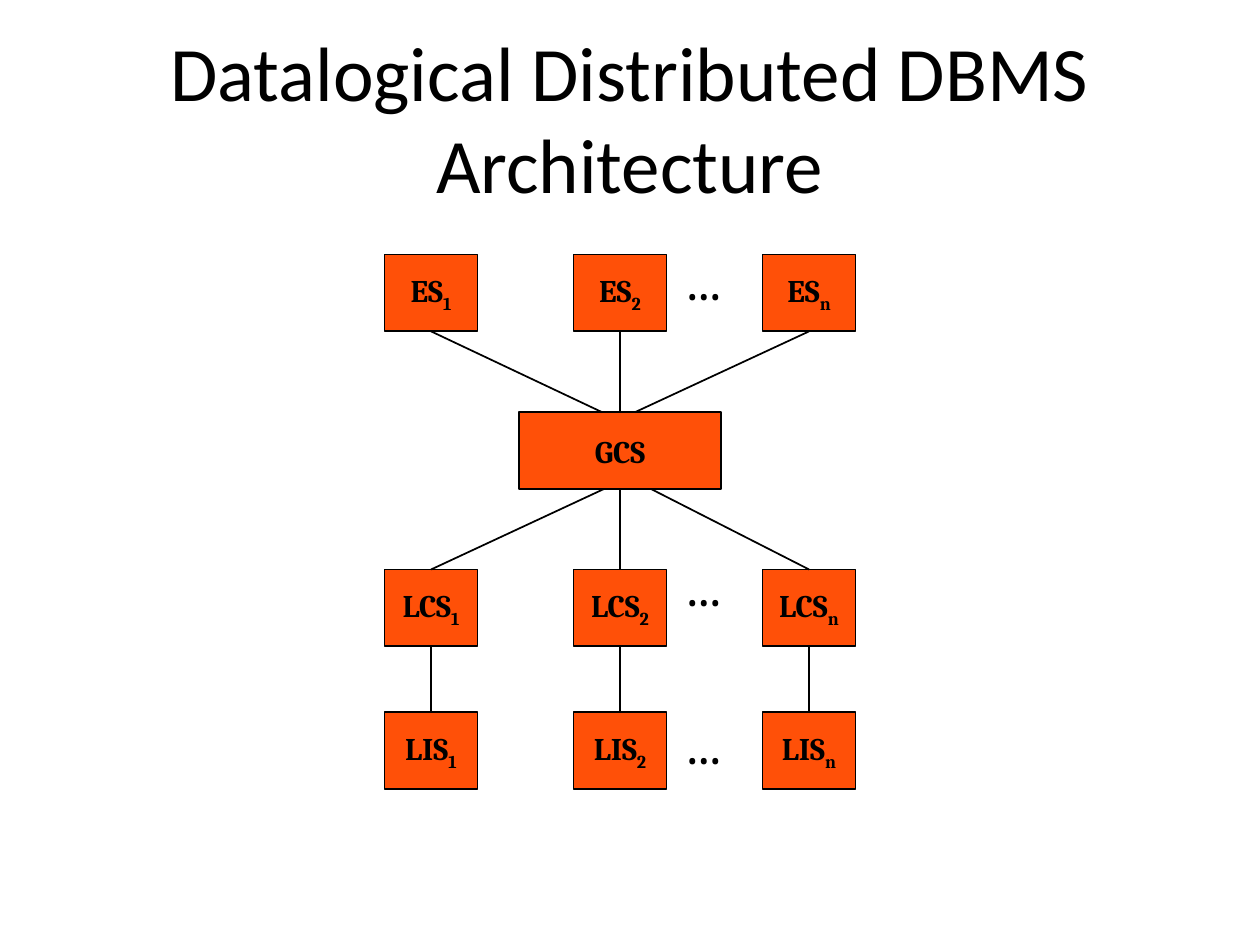
from pptx import Presentation
from pptx import util as u
from pptx.dml import color
from pptx.enum import shapes, text
from pptx.oxml import ns, xmlchemy

COLOURS = {"ink": "000000", "node": "FF5008"}
NODE_W, NODE_H, PITCH = 1.88, 1.55, 3.81
ES_TOP, GCS_TOP, LCS_TOP, LIS_TOP = 0, 3.18, 6.35, 9.22
GCS_W = 4.06


def rgb(name):
    """Look up a palette colour."""
    return color.RGBColor.from_string(COLOURS[name])


def style_text(para, font, size, bold=False):
    """Set the font of a whole paragraph."""
    para.font.name, para.font.size, para.font.bold = font, u.Pt(size), bold
    para.font.color.rgb = rgb("ink")


def add_title(page, left, top, width, height, words):
    """Place the centred slide title."""
    box = page.shapes.add_textbox(u.Cm(left), u.Cm(top), u.Cm(width), u.Cm(height))
    frame = box.text_frame
    frame.word_wrap = True
    frame.vertical_anchor = text.MSO_ANCHOR.MIDDLE
    para = frame.paragraphs[0]
    para.text, para.alignment = words, text.PP_ALIGN.CENTER
    style_text(para, "Calibri", 44)


def add_node(page, left, top, width, label, index=""):
    """Draw a labelled rectangle with an optional subscript."""
    node = page.shapes.add_shape(shapes.MSO_SHAPE.RECTANGLE, u.Cm(left), u.Cm(top),
                                 u.Cm(width), u.Cm(NODE_H))
    node.shadow.inherit = False
    node.fill.solid()
    node.fill.fore_color.rgb = rgb("node")
    node.line.color.rgb, node.line.width = rgb("ink"), u.Pt(1)
    frame = node.text_frame
    frame.margin_left = frame.margin_right = 0
    frame.word_wrap = False
    frame.vertical_anchor = text.MSO_ANCHOR.MIDDLE
    para = frame.paragraphs[0]
    para.alignment = text.PP_ALIGN.CENTER
    style_text(para, "Cambria", 18, True)
    para.add_run().text = label
    if index:
        span = para.add_run()
        span.text = index
        span._r.get_or_add_rPr().set("baseline", "-25000")
    return node


def add_row(page, left, top, label, dots_shift):
    """Place three indexed nodes with an ellipsis before the last."""
    nodes = [add_node(page, left + i * PITCH, top, NODE_W, label, index)
             for i, index in enumerate("12n")]
    dots = page.shapes.add_textbox(u.Cm(left + 5.84), u.Cm(top + dots_shift),
                                   u.Cm(1.37), u.Cm(1.63))
    dots.text_frame.word_wrap = False
    dots.text_frame.auto_size = text.MSO_AUTO_SIZE.SHAPE_TO_FIT_TEXT
    para = dots.text_frame.paragraphs[0]
    para.text = "..."
    style_text(para, "Cambria", 32)
    return nodes


def add_link(page, upper, lower, upper_shift=0, lower_shift=0):
    """Join two nodes, shifting an end off the side's middle if asked."""
    link = page.shapes.add_connector(
        shapes.MSO_CONNECTOR.STRAIGHT,
        upper.left + upper.width // 2 + u.Cm(upper_shift), upper.top + upper.height,
        lower.left + lower.width // 2 + u.Cm(lower_shift), lower.top)
    if not upper_shift:
        link.begin_connect(upper, 2)
    if not lower_shift:
        link.end_connect(lower, 0)
    link.line.color.rgb, link.line.width = rgb("ink"), u.Pt(1)
    link._element.spPr.append(xmlchemy.OxmlElement("a:effectLst"))


def add_architecture(page, left, top):
    """Draw the schema, global, local and internal layers with their links."""
    externals = add_row(page, left, top + ES_TOP, "ES", -0.33)
    gcs_left = left + PITCH + (NODE_W - GCS_W) / 2
    gcs = add_node(page, gcs_left, top + GCS_TOP, GCS_W, "GCS")
    conceptuals = add_row(page, left, top + LCS_TOP, "LCS", -0.51)
    internals = add_row(page, left, top + LIS_TOP, "LIS", -0.2)
    for external, shift in zip(externals, (-0.36, 0, 0.3)):
        add_link(page, external, gcs, lower_shift=shift)
    for conceptual, shift in zip(conceptuals, (-0.33, 0, 0.63)):
        add_link(page, gcs, conceptual, upper_shift=shift)
    for conceptual, internal in zip(conceptuals, internals):
        add_link(page, conceptual, internal)


def main():
    """Build and save the deck."""
    deck = Presentation()
    deck.slide_width, deck.slide_height = u.Cm(25.4), u.Cm(19.05)
    page = deck.slides.add_slide(deck.slide_layouts[6])
    add_title(page, 1.27, 0.76, 22.86, 3.18, "Datalogical Distributed DBMS Architecture")
    add_architecture(page, 7.75, 5.13)
    deck.save("out.pptx")


if __name__ == "__main__":
    main()
